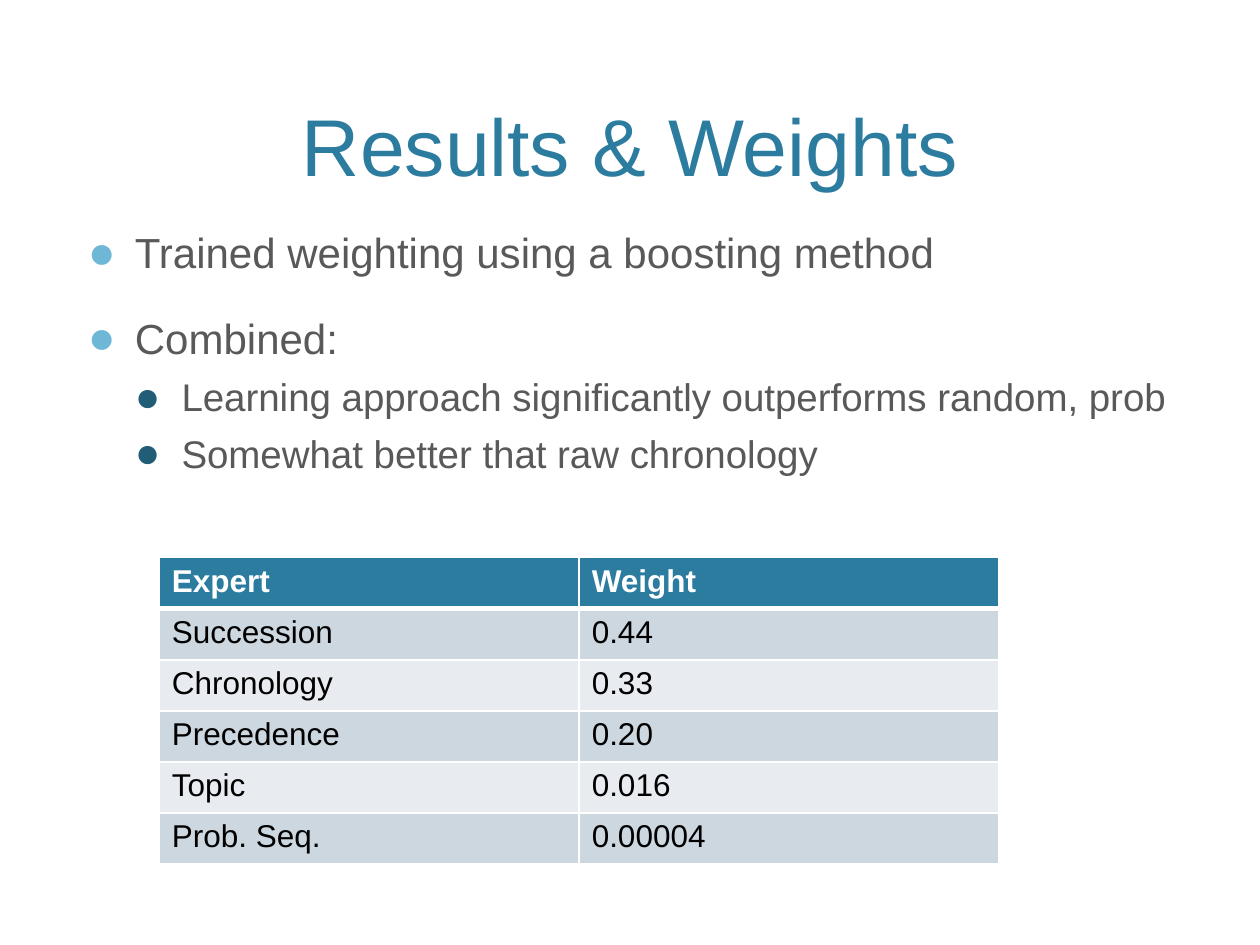
from lxml.etree import SubElement
from pptx import Presentation
from pptx.dml.color import RGBColor
from pptx.enum.text import MSO_ANCHOR, MSO_AUTO_SIZE, PP_ALIGN
from pptx.oxml.ns import qn
from pptx.util import Cm, Pt

TEAL = RGBColor(0x2C, 0x7C, 0x9F)
SKY = RGBColor(0x6F, 0xB7, 0xD7)
DEEP = RGBColor(0x21, 0x5D, 0x77)
GREY = RGBColor(0x59, 0x59, 0x59)
BLACK = RGBColor(0, 0, 0)
WHITE = RGBColor(0xFF, 0xFF, 0xFF)
BANDS = (RGBColor(0xCD, 0xD7, 0xDF), RGBColor(0xE8, 0xEC, 0xF0))

LEVELS = (
    {"size": 24, "before": 20, "margin": Cm(0.95), "hang": Cm(0.95), "bullet": SKY},
    {"size": 22, "before": 6, "margin": Cm(1.89), "hang": Cm(0.94), "bullet": DEEP},
)
POINTS = (
    (0, "Trained weighting using a boosting method"),
    (0, "Combined:"),
    (1, "Learning approach significantly outperforms random, prob"),
    (1, "Somewhat better that raw chronology"),
)
WEIGHTS = (
    ("Expert", "Weight"),
    ("Succession", "0.44"),
    ("Chronology", "0.33"),
    ("Precedence", "0.20"),
    ("Topic", "0.016"),
    ("Prob. Seq.", "0.00004"),
)


class SlideBuilder:
    """Holds the text style and the current slide, and adds each kind of element."""

    def __init__(self, slide, font="Arial"):
        self.slide = slide
        self.font = font

    def format_runs(self, para, size, color, bold=False):
        for span in para.runs:
            span.font.name = self.font
            span.font.size = Pt(size)
            span.font.bold = bold
            span.font.color.rgb = color

    def add_title(self, text, left, top, width, height):
        title = self.slide.shapes.title
        title.left, title.top, title.width, title.height = left, top, width, height
        frame = title.text_frame
        frame.text = text
        frame.auto_size = MSO_AUTO_SIZE.NONE
        frame.vertical_anchor = MSO_ANCHOR.BOTTOM
        para = frame.paragraphs[0]
        para.alignment = PP_ALIGN.CENTER
        self.format_runs(para, 46, TEAL)

    def add_bullets(self, points, left, top, width, height):
        frame = self.slide.shapes.add_textbox(left, top, width, height).text_frame
        frame.word_wrap = True
        frame.text = "\n".join(text for _, text in points)
        for para, (level, _) in zip(frame.paragraphs, points):
            style = LEVELS[level]
            para.level = level
            para.space_before = Pt(style["before"])
            self.format_runs(para, style["size"], GREY)
            self.set_bullet(para, style)

    def set_bullet(self, para, style):
        properties = para._p.get_or_add_pPr()
        properties.set("marL", str(style["margin"]))
        properties.set("indent", str(-style["hang"]))
        color = SubElement(properties, qn("a:buClr"))
        SubElement(color, qn("a:srgbClr"), val=str(style["bullet"]))
        SubElement(properties, qn("a:buSzPct"), val="110000")
        SubElement(properties, qn("a:buFont"), typeface=self.font)
        SubElement(properties, qn("a:buChar"), char="●")

    def add_table(self, rows, left, top, width, height):
        table = self.slide.shapes.add_table(
            len(rows), len(rows[0]), left, top, width, height
        ).table
        for row, texts in enumerate(rows):
            header = row == 0
            fill = TEAL if header else BANDS[(row - 1) % 2]
            for column, text in enumerate(texts):
                cell = table.cell(row, column)
                cell.text = text
                para = cell.text_frame.paragraphs[0]
                self.format_runs(para, 18, WHITE if header else BLACK, header)
                self.set_borders(cell, 3 if row == 1 else 1, 3 if header else 1)
                cell.fill.solid()
                cell.fill.fore_color.rgb = fill

    def set_borders(self, cell, top, bottom):
        properties = cell._tc.get_or_add_tcPr()
        for side, points in (("L", 1), ("R", 1), ("T", top), ("B", bottom)):
            line = SubElement(properties, qn(f"a:ln{side}"), w=str(Pt(points)))
            fill = SubElement(line, qn("a:solidFill"))
            SubElement(fill, qn("a:srgbClr"), val=str(WHITE))


def main():
    deck = Presentation()
    deck.slide_width, deck.slide_height = Cm(25.4), Cm(19.05)
    page = SlideBuilder(deck.slides.add_slide(deck.slide_layouts[5]))
    page.add_title("Results & Weights", Cm(1.52), Cm(0.3), Cm(22.35), Cm(3.71))
    page.add_bullets(POINTS, Cm(1.52), Cm(4.45), Cm(22.35), Cm(12.07))
    page.add_table(WEIGHTS, Cm(3.21), Cm(11.24), Cm(16.93), Cm(6.18))
    deck.save("out.pptx")


if __name__ == "__main__":
    main()
